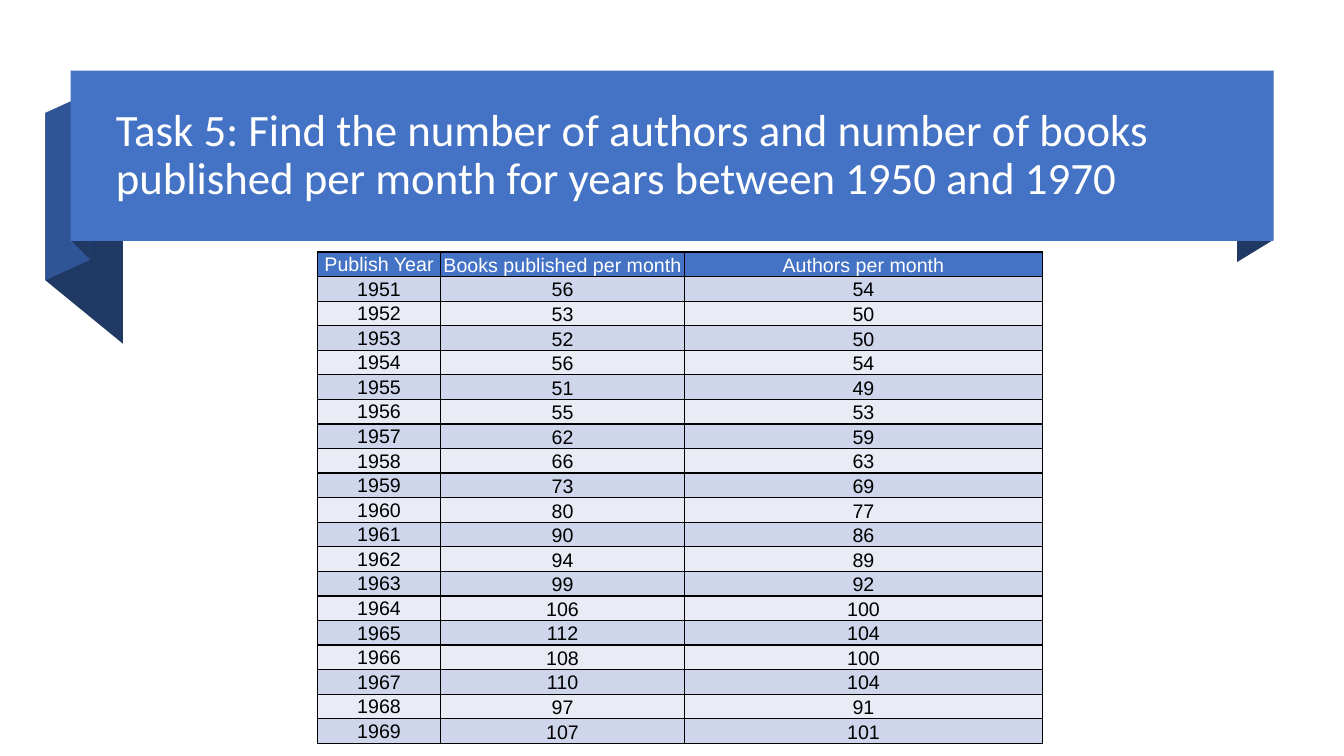
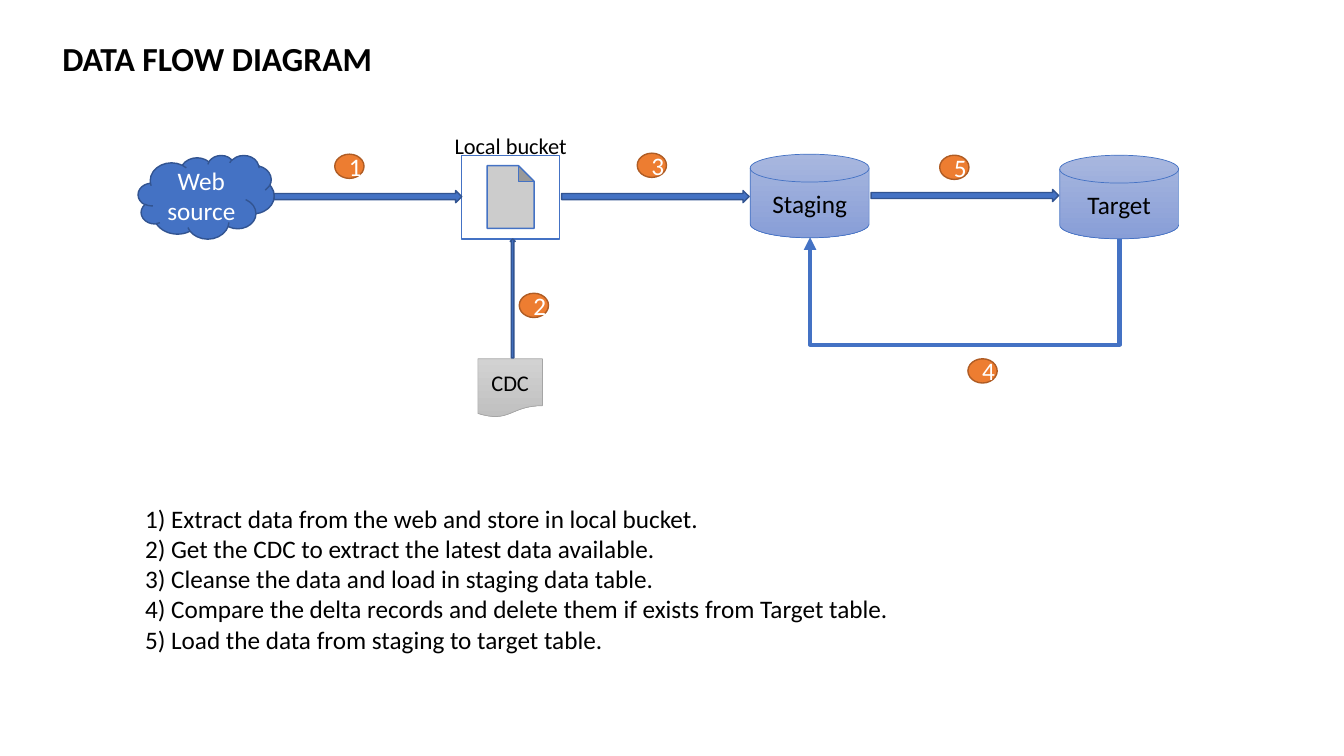
from dataclasses import dataclass
from typing import NamedTuple

from lxml.etree import SubElement
from pptx import Presentation
from pptx.dml.color import RGBColor
from pptx.enum.shapes import MSO_CONNECTOR as Connector, MSO_SHAPE as Preset
from pptx.enum.text import MSO_ANCHOR as Anchor, PP_ALIGN as Align
from pptx.oxml import parse_xml
from pptx.oxml.ns import nsdecls, qn
from pptx.util import Inches, Pt

COLOURS = {
    "white": "FFFFFF", "black": "000000", "blue": "4472C4", "blue edge": "325491",
    "fold": "2F5597", "fold shade": "203864", "row odd": "CFD5EA", "row even": "E9EBF5",
    "disk top": "A8B7DF", "disk bottom": "889ED7", "paper top": "D2D2D2",
    "paper bottom": "C0C0C0", "paper edge": "A5A5A5", "orange": "ED7D31",
    "orange edge": "AF5C24",
}
BODY_FONT = "Calibri"
TABLE_FONT = "Arial"


class Box(NamedTuple):
    left: float
    top: float
    width: float
    height: float

    def lengths(self) -> list:
        return [Inches(value) for value in self]


@dataclass
class Look:
    fill: tuple
    edge: str | None = None
    edge_width: float = 1


@dataclass
class Node:
    preset: Preset
    box: Box
    look: Look
    text: str = ""
    size: float = 18
    colour: str = "white"


@dataclass
class Fold:
    colour: str
    points: list


BLUE = Look(("blue",), "blue edge")
BANNER = Look(("blue",))
BUCKET = Look(("white",), "blue")
DISK = Look(("disk top", "disk bottom"), "blue", 0.5)
PAPER = Look(("paper top", "paper bottom"), "paper edge", 0.5)
BADGE = Look(("orange",), "orange edge")

FOLDS = [
    Fold("fold shade", [(1.22, 3.41), (0.45, 2.78), (0.45, 1.12), (1.22, 1.75)]),
    Fold("fold", [(0.89, 2.58), (0.45, 2.78), (0.45, 1.12), (0.89, 0.92)]),
    Fold("fold shade", [(0.89, 2.57), (0.71, 2.39), (0.71, 0.7), (0.89, 0.89)]),
    Fold("fold shade", [(12.63, 2.38), (12.27, 2.6), (12.27, 0.91), (12.63, 0.7)]),
]

TABLE_HEADER = ("Publish Year", "Books published per month", "Authors per month")
FIRST_YEAR = 1951
BOOKS = [56, 53, 52, 56, 51, 55, 62, 66, 73, 80, 90, 94, 99, 106, 112, 108, 110, 97, 107]
AUTHORS = [54, 50, 50, 54, 49, 53, 59, 63, 69, 77, 86, 89, 92, 100, 104, 100, 104, 91, 101]
COLUMN_WIDTHS = (1.22, 2.42, 3.55)
ROW_HEIGHT = 0.23

STAGING = Node(Preset.FLOWCHART_MAGNETIC_DISK, Box(7.44, 1.53, 1.18, 0.83), DISK,
               "Staging", colour="black")
TARGET = Node(Preset.FLOWCHART_MAGNETIC_DISK, Box(10.51, 1.54, 1.18, 0.83), DISK,
              "Target", colour="black")
FLOW_NODES = [
    Node(Preset.CLOUD, Box(1.37, 1.54, 1.35, 0.83), BLUE, "Web source"),
    Node(Preset.ACTION_BUTTON_DOCUMENT, Box(4.58, 1.54, 0.97, 0.83), BUCKET),
    Node(Preset.FLOWCHART_DOCUMENT, Box(4.74, 3.56, 0.64, 0.58), PAPER, "CDC", 16, "black"),
    Node(Preset.UP_ARROW, Box(5.06, 2.37, 0.05, 1.18), BLUE),
]
RIGHT_ARROWS = [(2.72, 1.89), (5.57, 1.89), (8.64, 1.88)]
BADGES = [(3.32, 1.53), (5.15, 2.91), (6.32, 1.52), (9.6, 3.56), (9.32, 1.54)]
STEPS = [
    "Extract data from the web and store in local bucket.",
    "Get the CDC to extract the latest data available.",
    "Cleanse the data and load in staging data table.",
    "Compare the delta records and delete them if exists from Target table.",
    "Load the data from staging to target table.",
]


def rgb(name: str) -> RGBColor:
    return RGBColor.from_string(COLOURS[name])


def write(frame, text: str, *, size: float, colour: str = "black", font: str = BODY_FONT,
          bold: bool = False, align: Align = Align.LEFT, spacing: float = 1.0) -> None:
    frame.word_wrap = True
    for index, line in enumerate(text.split("\n")):
        paragraph = frame.add_paragraph() if index else frame.paragraphs[0]
        paragraph.alignment = align
        paragraph.line_spacing = spacing
        run = paragraph.add_run()
        run.text = line
        run.font.name = font
        run.font.size = Pt(size)
        run.font.bold = bold
        run.font.color.rgb = rgb(colour)


def add_text(slide, box: Box, text: str, anchor: Anchor = Anchor.TOP, **style) -> None:
    frame = slide.shapes.add_textbox(*box.lengths()).text_frame
    frame.vertical_anchor = anchor
    write(frame, text, **style)


def apply_look(shape, look: Look) -> None:
    shape.shadow.inherit = False
    if len(look.fill) > 1:
        shape.fill.gradient()
        shape.fill.gradient_angle = 270
        for stop, colour in zip(shape.fill.gradient_stops, look.fill):
            stop.color.rgb = rgb(colour)
    else:
        shape.fill.solid()
        shape.fill.fore_color.rgb = rgb(look.fill[0])
    if look.edge:
        shape.line.color.rgb = rgb(look.edge)
        shape.line.width = Pt(look.edge_width)
    else:
        shape.line.fill.background()


def add_node(slide, node: Node):
    shape = slide.shapes.add_shape(node.preset, *node.box.lengths())
    apply_look(shape, node.look)
    if node.text:
        shape.text_frame.vertical_anchor = Anchor.MIDDLE
        write(shape.text_frame, node.text, size=node.size, colour=node.colour,
              align=Align.CENTER)
    return shape


def add_fold(slide, fold: Fold) -> None:
    start, *others = [(Inches(x), Inches(y)) for x, y in fold.points]
    builder = slide.shapes.build_freeform(*start)
    builder.add_line_segments(others, close=True)
    apply_look(builder.convert_to_shape(), Look((fold.colour,)))


def add_borders(cell) -> None:
    properties = cell._tc.get_or_add_tcPr()
    for index, side in enumerate(("lnL", "lnR", "lnT", "lnB")):
        properties.insert(index, parse_xml(
            f'<a:{side} {nsdecls("a")} w="{Pt(1)}"><a:solidFill>'
            f'<a:srgbClr val="{COLOURS["black"]}"/></a:solidFill></a:{side}>'))


def add_year_table(slide) -> None:
    years = range(FIRST_YEAR, FIRST_YEAR + len(BOOKS))
    rows = [TABLE_HEADER, *zip(years, BOOKS, AUTHORS)]
    box = Box(3.15, 2.5, sum(COLUMN_WIDTHS), ROW_HEIGHT * len(rows))
    table = slide.shapes.add_table(len(rows), len(COLUMN_WIDTHS), *box.lengths()).table
    table.horz_banding = False
    for column, width in zip(table.columns, COLUMN_WIDTHS):
        column.width = Inches(width)
    for row_index, values in enumerate(rows):
        table.rows[row_index].height = Inches(ROW_HEIGHT)
        band = "row odd" if row_index % 2 else "row even"
        for column_index, value in enumerate(values):
            cell = table.cell(row_index, column_index)
            cell.margin_left = cell.margin_right = cell.margin_top = Inches(0.01)
            cell.margin_bottom = 0
            cell.vertical_anchor = Anchor.BOTTOM if column_index else Anchor.MIDDLE
            cell.fill.solid()
            cell.fill.fore_color.rgb = rgb(band if row_index else "blue")
            add_borders(cell)
            write(cell.text_frame, str(value), size=14, font=TABLE_FONT, align=Align.CENTER,
                  colour="black" if row_index else "white")


def add_return_arrow(slide, source, destination) -> None:
    connector = slide.shapes.add_connector(Connector.ELBOW, 0, 0, 0, 0)
    bottom_site = 3
    connector.begin_connect(source, bottom_site)
    connector.end_connect(destination, bottom_site)
    box = Box(9.56, 0.83, 0.02, 3.07)
    connector.left, connector.top, connector.width, connector.height = box.lengths()
    connector.line.color.rgb = rgb("blue")
    connector.line.width = Pt(3)

    properties = connector._element.spPr
    frame = properties.find(qn("a:xfrm"))
    for name, value in (("rot", "5400000"), ("flipH", "1"), ("flipV", "0")):
        frame.set(name, value)
    adjustments = properties.find(qn("a:prstGeom")).find(qn("a:avLst"))
    SubElement(adjustments, qn("a:gd"), name="adj1", fmla="val -5200000")
    SubElement(properties.find(qn("a:ln")), qn("a:tailEnd"), type="triangle")
    SubElement(properties, qn("a:effectLst"))


def build_table_slide(slide) -> None:
    for fold in FOLDS:
        add_fold(slide, fold)
    add_node(slide, Node(Preset.RECTANGLE, Box(0.7, 0.7, 11.93, 1.69), BANNER))
    add_text(slide, Box(1.05, 0.88, 11.23, 1.33),
             "Task 5: Find the number of authors and number of books published per month "
             "for years between 1950 and 1970",
             Anchor.MIDDLE, size=32, colour="white", spacing=0.9)
    add_year_table(slide)


def build_flow_slide(slide) -> None:
    for node in FLOW_NODES:
        add_node(slide, node)
    staging = add_node(slide, STAGING)
    target = add_node(slide, TARGET)
    for left, top in RIGHT_ARROWS:
        add_node(slide, Node(Preset.RIGHT_ARROW, Box(left, top, 1.86, 0.12), BLUE))
    add_return_arrow(slide, target, staging)
    add_text(slide, Box(4.41, 1.26, 1.7, 0.37), "Local bucket", size=16)
    add_text(slide, Box(0.52, 0.33, 4.22, 0.5), "DATA FLOW DIAGRAM", size=24, bold=True)
    for number, (left, top) in enumerate(BADGES, 1):
        add_node(slide, Node(Preset.FLOWCHART_CONNECTOR, Box(left, top, 0.29, 0.24),
                             BADGE, str(number)))
    steps = "\n".join(f"{number}) {step}" for number, step in enumerate(STEPS, 1))
    add_text(slide, Box(1.34, 4.94, 9.97, 1.62), steps, size=18)


def main() -> None:
    presentation = Presentation()
    presentation.slide_width = Inches(13.33)
    presentation.slide_height = Inches(7.5)
    blank = presentation.slide_layouts[6]
    for build in (build_table_slide, build_flow_slide):
        build(presentation.slides.add_slide(blank))
    presentation.save("out.pptx")


if __name__ == "__main__":
    main()
